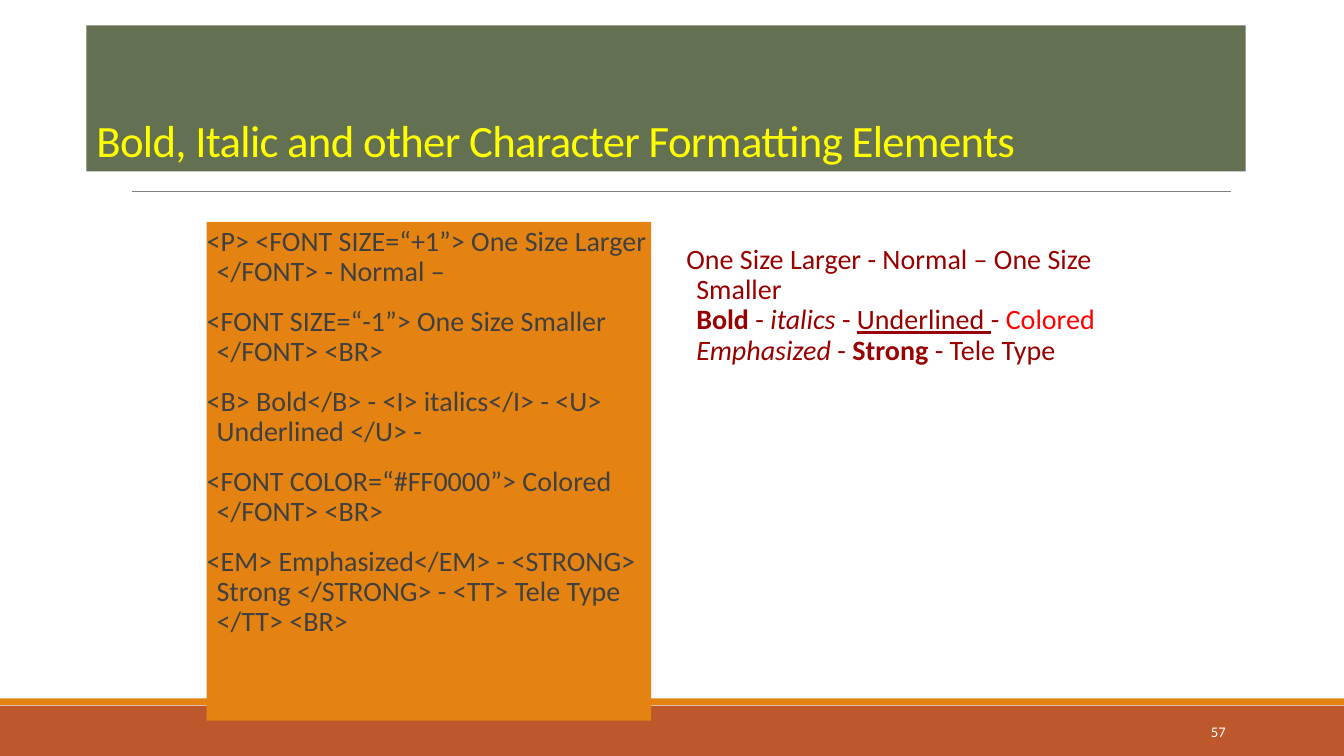
from lxml.etree import SubElement
from pptx import Presentation
from pptx.dml.color import RGBColor
from pptx.enum.shapes import MSO_CONNECTOR, MSO_SHAPE
from pptx.enum.text import MSO_ANCHOR, PP_ALIGN
from pptx.oxml.ns import qn
from pptx.util import Cm, Pt

WIDTH, HEIGHT = 33.87, 19.05
ORANGE, RUST, OLIVE = "E48312", "BD582C", "637052"
GREY, MAROON, RED = "404040", "990000", "FF0000"

MARKUP = [
    "<P> <FONT SIZE=“+1”> One Size Larger </FONT> - Normal –",
    "<FONT SIZE=“-1”> One Size Smaller </FONT> <BR>",
    "<B> Bold</B> - <I> italics</I> - <U> Underlined </U> -",
    "<FONT COLOR=“#FF0000”> Colored </FONT> <BR>",
    "<EM> Emphasized</EM> - <STRONG> Strong </STRONG> - <TT> Tele Type </TT> <BR>",
]
RESULT_LINES = [
    [("One Size Larger - Normal – One Size Smaller ", {})],
    [("Bold", {"bold": True}), (" - ", {}), ("italics", {"italic": True}), (" - ", {}),
     ("Underlined ", {"underline": True}), ("- ", {}), ("Colored ", {"color": RED})],
    [("Emphasized", {"italic": True}), (" - ", {}), ("Strong ", {"bold": True}),
     ("- Tele Type ", {})],
]


def rgb(value):
    return RGBColor.from_string(value)


def add_block(page, left, top, width, height, color):
    block = page.shapes.add_shape(
        MSO_SHAPE.RECTANGLE, Cm(left), Cm(top), Cm(width), Cm(height))
    block.shadow.inherit = False
    block.fill.solid()
    block.fill.fore_color.rgb = rgb(color)
    block.line.fill.background()
    return block


def add_rule(page, left, right, top, color):
    rule = page.shapes.add_connector(
        MSO_CONNECTOR.STRAIGHT, Cm(left), Cm(top), Cm(right), Cm(top))
    rule.line.color.rgb = rgb(color)
    rule.line.width = Pt(0.5)
    SubElement(rule._element.spPr, qn("a:effectLst"))


def add_text_box(page, left, top, width, height):
    return page.shapes.add_textbox(Cm(left), Cm(top), Cm(width), Cm(height))


def prepare_frame(box, anchor, side_margin=0.25):
    frame = box.text_frame
    frame.word_wrap = True
    frame.vertical_anchor = anchor
    frame.margin_left = frame.margin_right = Cm(side_margin)
    frame.margin_top = frame.margin_bottom = Cm(0.13)
    return frame


def add_span(para, text, size, color, bold=None, italic=None, underline=None):
    span = para.add_run()
    span.text = text
    font = span.font
    font.name, font.size, font.color.rgb = "Calibri", Pt(size), rgb(color)
    font.bold, font.italic, font.underline = bold, italic, underline
    return span


def format_body(para):
    """Give a body paragraph its hanging indent and spacing."""
    para.alignment = PP_ALIGN.LEFT
    para.line_spacing = 0.9
    para.space_after = Pt(2)
    properties = para._p.get_or_add_pPr()
    properties.set("marL", str(Cm(0.25)))
    properties.set("indent", str(-Cm(0.25)))


def add_title(page, text):
    box = add_block(page, 2.18, 0.64, 29.21, 3.68, OLIVE)
    para = prepare_frame(box, MSO_ANCHOR.BOTTOM).paragraphs[0]
    para.alignment = PP_ALIGN.LEFT
    para.line_spacing = 0.85
    span = add_span(para, text, 32, "FFFF00")
    span._r.get_or_add_rPr().set("spc", "-50")


def add_markup(page):
    box = add_block(page, 5.21, 5.59, 11.2, 12.57, ORANGE)
    frame = prepare_frame(box, MSO_ANCHOR.TOP, 0)
    for index, text in enumerate(MARKUP):
        para = frame.add_paragraph() if index else frame.paragraphs[0]
        format_body(para)
        if index:
            para.space_before = Pt(12)
        add_span(para, text, 20, GREY)


def add_result(page):
    box = add_text_box(page, 17.3, 6.05, 11.2, 12.57)
    para = prepare_frame(box, MSO_ANCHOR.TOP, 0).paragraphs[0]
    format_body(para)
    for index, line in enumerate(RESULT_LINES):
        if index:
            para.add_line_break()
        for text, style in line:
            add_span(para, text, 20, **{"color": MAROON, **style})


def add_page_number(page, number):
    box = add_text_box(page, 27.51, 17.93, 3.63, 1.02)
    para = prepare_frame(box, MSO_ANCHOR.MIDDLE).paragraphs[0]
    para.alignment = PP_ALIGN.RIGHT
    add_span(para, number, 10.5, "FFFFFF")


def main():
    deck = Presentation()
    deck.slide_width, deck.slide_height = Cm(WIDTH), Cm(HEIGHT)
    page = deck.slides.add_slide(deck.slide_layouts[6])
    add_block(page, 0, 17.78, WIDTH, 1.27, RUST)
    add_block(page, 0, 17.6, WIDTH, 0.17, ORANGE)
    add_rule(page, 3.33, 31.01, 4.83, "808080")
    add_title(page, "Bold, Italic and other Character Formatting Elements")
    add_markup(page)
    add_result(page)
    add_page_number(page, "57")
    deck.save("out.pptx")


if __name__ == "__main__":
    main()
